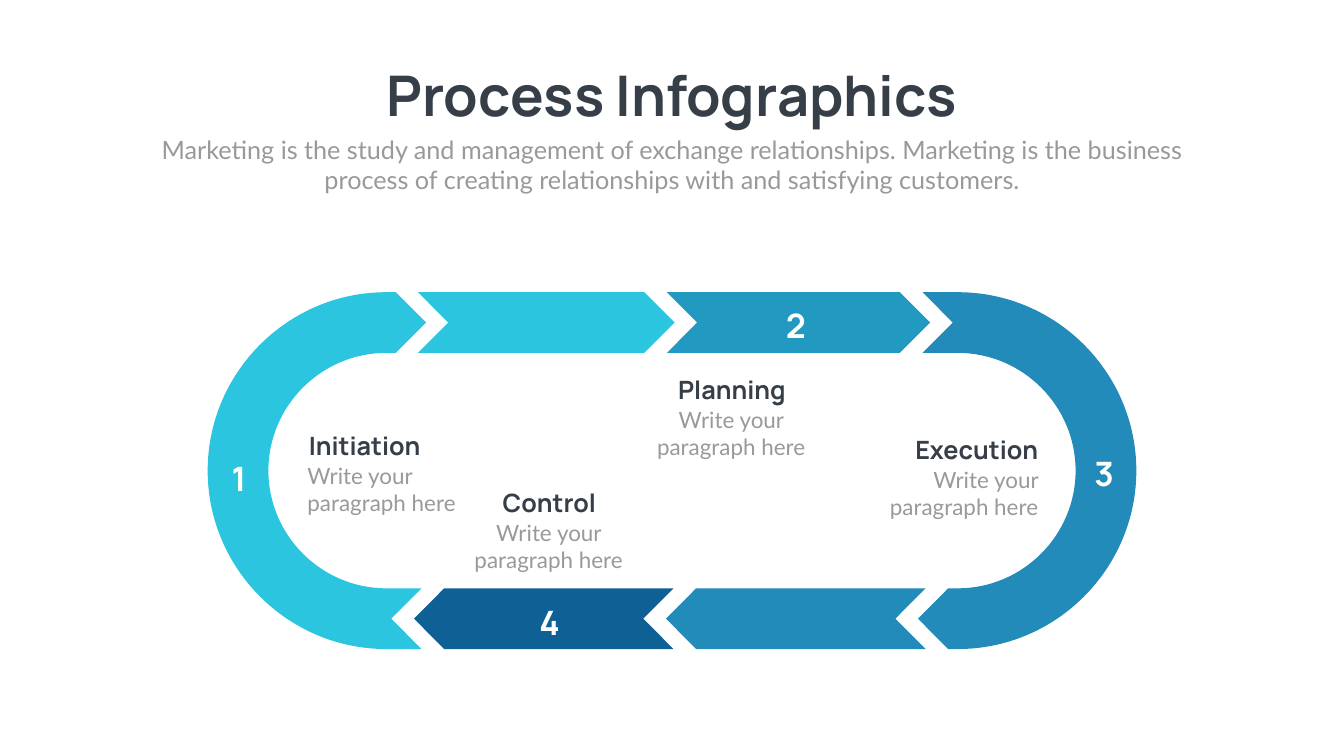
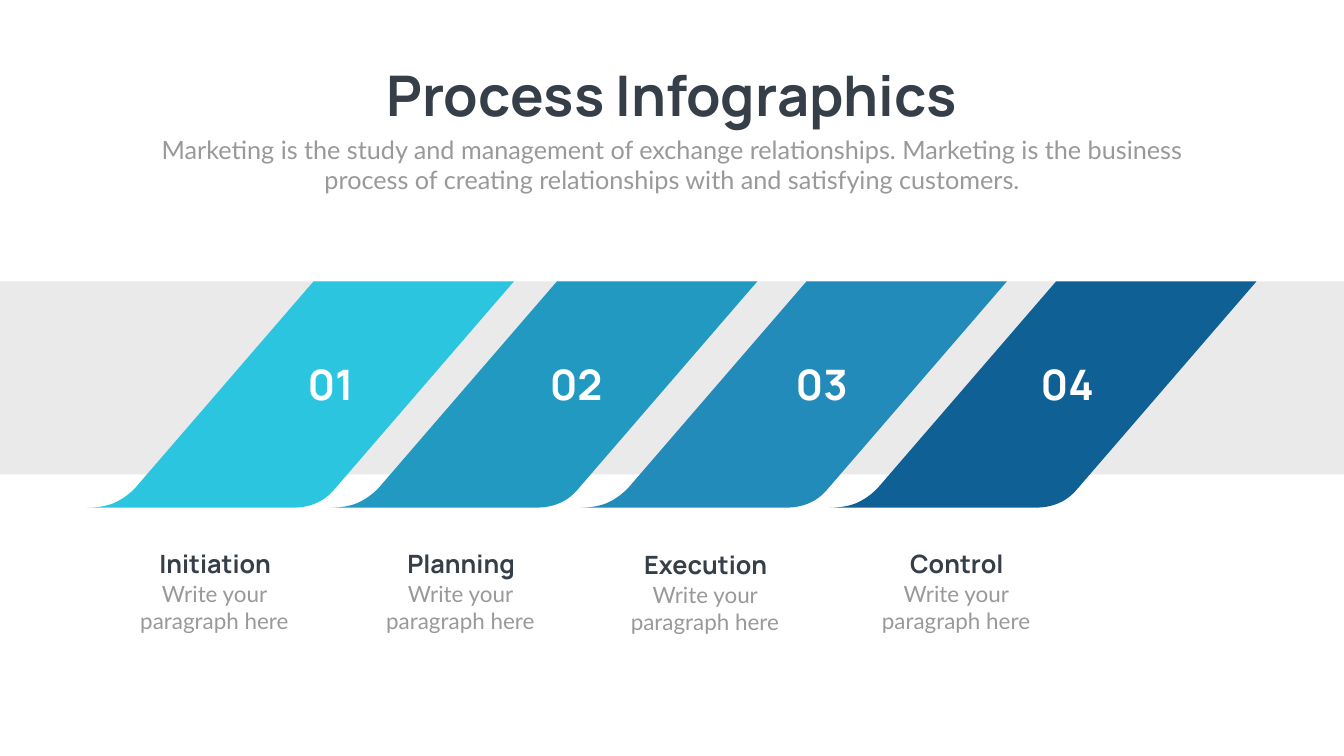
from math import copysign

from pptx import Presentation
from pptx.dml.color import RGBColor
from pptx.enum.shapes import MSO_SHAPE
from pptx.enum.text import MSO_AUTO_SIZE, PP_ALIGN
from pptx.oxml.ns import qn
from pptx.oxml.xmlchemy import OxmlElement
from pptx.util import Inches, Pt

INK = RGBColor(0x36, 0x3E, 0x48)
GREY = RGBColor(0x99, 0x99, 0x99)
BAND = RGBColor(0xEA, 0xEA, 0xEA)
WHITE = RGBColor(0xFF, 0xFF, 0xFF)
CYAN = RGBColor(0x2B, 0xC5, 0xE0)
TEAL = RGBColor(0x22, 0x99, 0xC0)
BLUE = RGBColor(0x22, 0x8B, 0xB9)
NAVY = RGBColor(0x0F, 0x61, 0x95)
HEAD, BODY = "Manrope", "Lato"
LEFT, CENTER, RIGHT = PP_ALIGN.LEFT, PP_ALIGN.CENTER, PP_ALIGN.RIGHT

prs = Presentation()
prs.slide_width, prs.slide_height = Inches(26.66), Inches(15)

# The grid has 100 columns and 100 rows
COL, ROW = prs.slide_width / 100, prs.slide_height / 100


def add_text(shapes, text, col, row, cols, rows, size, font, color, align=CENTER):
    box = shapes.add_textbox(int(col * COL), int(row * ROW), int(cols * COL), int(rows * ROW))
    tf = box.text_frame
    tf.word_wrap = True
    tf.auto_size = MSO_AUTO_SIZE.SHAPE_TO_FIT_TEXT
    p = tf.paragraphs[0]
    p.text = text
    p.alignment = align
    p.font.size = Pt(size)
    p.font.name = font
    p.font.bold = font == HEAD
    p.font.color.rgb = color


def add_outline(s, steps, color):
    """Fill a closed outline; a step of one point is a line, of three a Bézier curve."""
    pts = [(round(x * COL), round(y * ROW)) for step in steps for x, y in step]
    builder = s.shapes.build_freeform(*pts[0])
    builder.add_line_segments(pts[1:], close=True)
    sp = builder.convert_to_shape()
    lines = iter(list(sp.element.iter(qn("a:lnTo"))))
    for step in steps[1:]:
        parts = [next(lines) for _ in step]
        if len(parts) == 3:
            curve = OxmlElement("a:cubicBezTo")
            parts[0].addprevious(curve)
            for line in parts:
                curve.append(line[0])
                line.getparent().remove(line)
    sp.shadow.inherit = False
    sp.fill.solid()
    sp.fill.fore_color.rgb = color
    sp.line.fill.background()


# Both slides: title and introduction
loop, ribbons = [prs.slides.add_slide(prs.slide_layouts[6]) for _ in range(2)]
for s in (loop, ribbons):
    add_text(s.shapes, "Process Infographics", 26.9, 7.63, 46.2, 9.67, 80, HEAD, INK)
    add_text(s.shapes, "Marketing is the study and management of exchange relationships. "
             "Marketing is the business process of creating relationships with and "
             "satisfying customers.", 10.95, 17.4, 78.1, 8.73, 36, BODY, GREY)

# Slide 1: straight arrows of the loop
MID, OUTER, INNER, NOTCH = 62.25, 23.6, 15.57, 2.25
CENTRE = (OUTER + INNER) / 2
for tail, tip, side, color in [(31.1, 50.19, -1, CYAN), (49.62, 69.2, -1, TEAL),
                               (68.87, 49.55, 1, BLUE), (50.11, 30.8, 1, NAVY)]:
    notch = copysign(NOTCH, tip - tail)
    top, mid, bottom = [MID + side * r for r in (OUTER, CENTRE, INNER)]
    add_outline(loop, [[(tail, top)], [(tip - notch, top)], [(tip, mid)],
                       [(tip - notch, bottom)], [(tail, bottom)], [(tail + notch, mid)]], color)

# Round ends: the left one is the right one turned half way round the middle
TAIL, TIP, HUB, KAPPA = 18.64, 18.3, 21.27, 0.55
arcs = []
for r, down in [(OUTER, 1), (INNER, -1)]:
    wide, y = r * ROW / COL, r * down
    far = HUB + wide
    arcs.append([[(HUB, -y)],
                 [(HUB + KAPPA * wide, -y), (far, -KAPPA * y), (far, 0)],
                 [(far, KAPPA * y), (HUB + KAPPA * wide, y), (HUB, y)]])
end = [[(TAIL, -OUTER)], *arcs[0], [(TIP + NOTCH, OUTER)], [(TIP, CENTRE)],
       [(TIP + NOTCH, INNER)], *arcs[1], [(TAIL, -INNER)], [(TAIL + NOTCH, -CENTRE)]]
for turn, color in [(-1, CYAN), (1, BLUE)]:
    add_outline(loop, [[(50 + turn * x, MID + turn * y) for x, y in step] for step in end], color)

for number, col, row in [("1", 14.25, 60.2), ("2", 55.7, 39.97),
                         ("3", 78.62, 59.6), ("4", 37.36, 79.27)]:
    add_text(loop.shapes, number, col, row, 7.05, 6.07, 48, HEAD, WHITE)

# Slide 2: grey band and slanted ribbons with curved feet
TOP, FOOT = 37.22, 67.15
band = ribbons.shapes.add_shape(MSO_SHAPE.RECTANGLE, 0, int(TOP * ROW),
                                prs.slide_width, int(25.53 * ROW))
band.shadow.inherit = False
band.fill.solid()
band.fill.fore_color.rgb = BAND
band.line.fill.background()

ribbon = [[(0, FOOT)],
          [(0.64, FOOT), (1.31, 67), (1.91, 66.6)],
          [(2.55, 66.13), (3.11, 65.4), (3.58, 64.53)],
          [(16.84, TOP)], [(31.75, TOP)], [(18.42, 64.67)],
          [(18.02, 65.53), (17.53, 66.2), (16.97, 66.6)],
          [(16.43, 67), (15.87, FOOT), (15.32, FOOT)]]
for col, color in [(61.74, NAVY), (43.17, BLUE), (24.6, TEAL), (6.49, CYAN)]:
    add_outline(ribbons, [[(col + x, y) for x, y in step] for step in ribbon], color)
for i in range(4):
    add_text(ribbons.shapes, f"0{i + 1}", 21.05 + 18.27 * i, 47.13, 7.09, 7.4, 60, HEAD, WHITE)

# Both slides: a heading and a paragraph for each stage
for s, stage, col, row, align in [
    (loop, "Planning", 48.05, 49.25, CENTER),
    (loop, "Initiation", 22.5, 56.6, LEFT),
    (loop, "Execution", 64.91, 57.13, RIGHT),
    (loop, "Control", 34.47, 64.13, CENTER),
    (ribbons, "Planning", 27.9, 72.2, CENTER),
    (ribbons, "Execution", 46.1, 72.3, CENTER),
    (ribbons, "Control", 64.78, 72.2, CENTER),
    (ribbons, "Initiation", 9.6, 72.2, CENTER),
]:
    group = s.shapes.add_group_shape()
    add_text(group.shapes, stage, col + 0.11, row, 12.6, 4.73, 36, HEAD, INK, align)
    add_text(group.shapes, "Write your paragraph here", col, row + 4.2, 12.71, 7.87,
             32, BODY, GREY, align)

prs.save("out.pptx")
